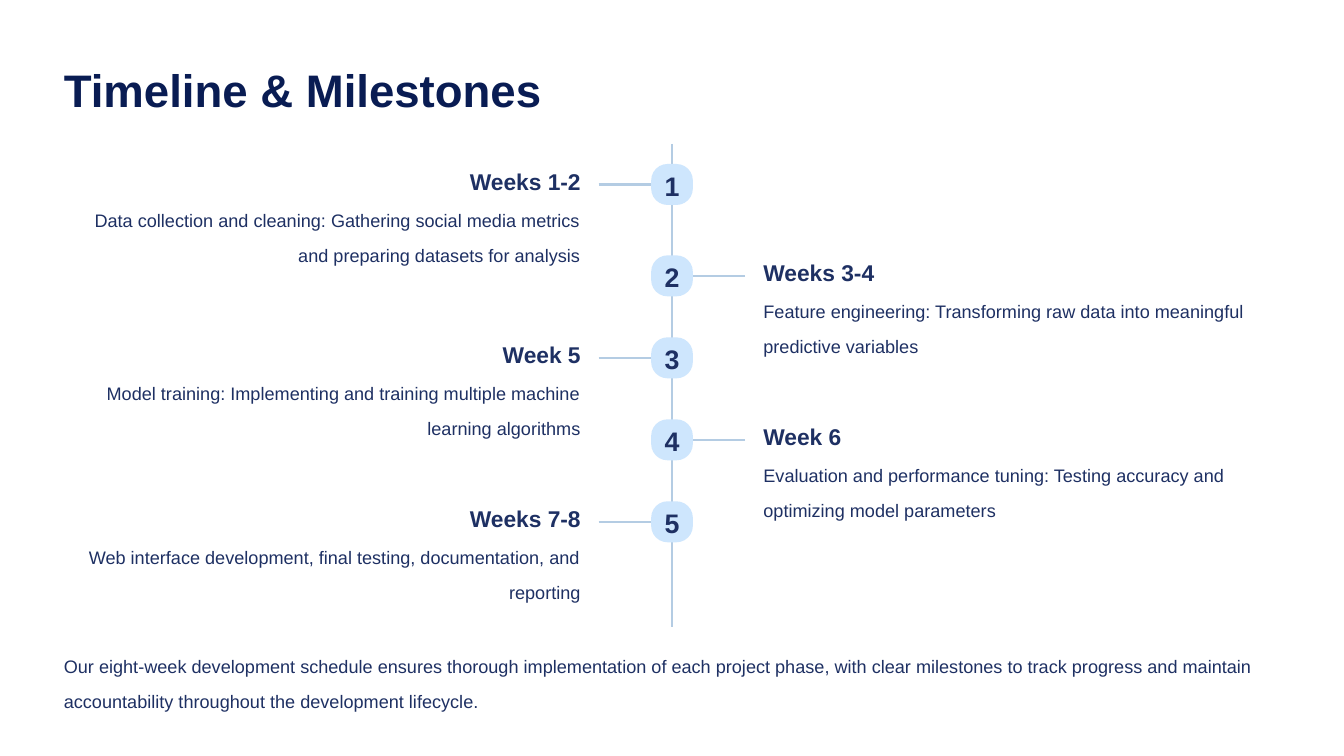
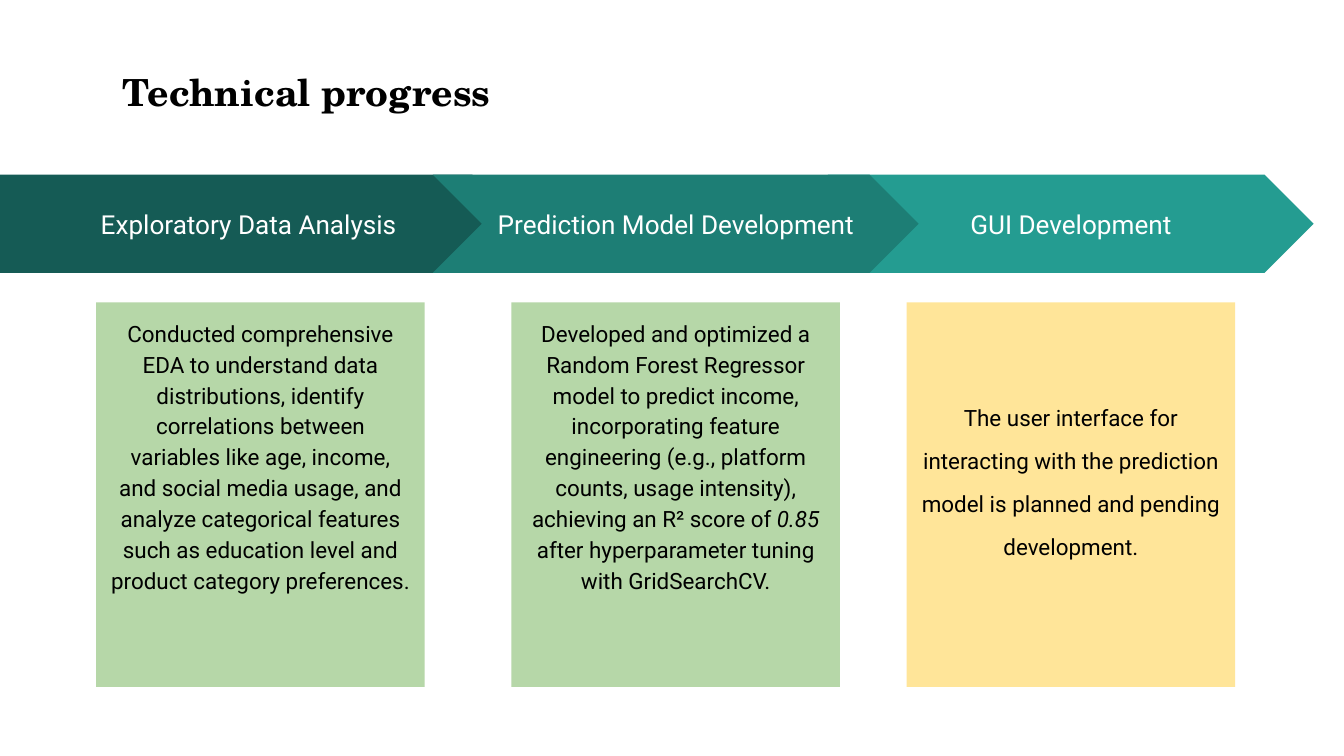
from lxml import etree
from pptx import Presentation
from pptx.dml.color import RGBColor
from pptx.enum.shapes import MSO_CONNECTOR, MSO_SHAPE as SHAPE
from pptx.enum.text import MSO_ANCHOR as ANCHOR, PP_ALIGN as ALIGN
from pptx.oxml.ns import qn
from pptx.util import Inches, Pt

NAVY, INK, RAIL, BADGE = "091C53", "1E3063", "B4CCE3", "CEE6FD"
GREEN, YELLOW, WHITE, BLACK = "B6D7A8", "FFE599", "FFFFFF", "000000"


def write(s, runs, size, color, font="Arial", bold=False, align=ALIGN.LEFT,
          spacing=1.0, anchor=ANCHOR.TOP, inset=0, top=None):
    """Fill a shape with one paragraph; runs is a string or (text, italic) pairs."""
    tf = s.text_frame
    tf.word_wrap = True
    tf.vertical_anchor = anchor
    tf.margin_left = tf.margin_right = tf.margin_bottom = Inches(inset)
    tf.margin_top = Inches(inset if top is None else top)
    p = tf.paragraphs[0]
    p.alignment = align
    p.line_spacing = spacing
    for content, italic in [(runs, False)] if isinstance(runs, str) else runs:
        r = p.add_run()
        r.text = content
        r.font.name, r.font.size = font, Pt(size)
        r.font.bold, r.font.italic = bold, italic
        r.font.color.rgb = RGBColor.from_string(color)


def draw(slide, kind, x, y, w, h, fill=None):
    """Add a text box, a rail line (w, h are its extent) or a filled preset shape."""
    box = [Inches(v) for v in (x, y, w, h)]
    if kind == "text":
        return slide.shapes.add_textbox(*box)
    if kind == "line":
        s = slide.shapes.add_connector(MSO_CONNECTOR.STRAIGHT, box[0], box[1],
                                       box[0] + box[2], box[1] + box[3])
        s.line.color.rgb = RGBColor.from_string(RAIL)
        s.line.width = Pt(2.4)
        etree.SubElement(s._element.spPr, qn("a:effectLst"))
        return s
    s = slide.shapes.add_shape(kind, *box)
    s.shadow.inherit = False
    s.fill.solid()
    s.fill.fore_color.rgb = RGBColor.from_string(fill)
    s.line.fill.background()
    return s


prs = Presentation()
prs.slide_width, prs.slide_height = Inches(20), Inches(11.25)
blank = prs.slide_layouts[6]

# Slide 1: timeline
slide = prs.slides.add_slide(blank)
write(draw(slide, "text", 0.95, 0.72, 7.8, 0.88), "Timeline & Milestones",
      48.8, NAVY, bold=True, spacing=1.24)
draw(slide, "line", 10, 2.14, 0, 7.19)

milestones = [
    (2.44, "Weeks 1-2", "Data collection and cleaning: Gathering social media metrics "
                        "and preparing datasets for analysis"),
    (3.8, "Weeks 3-4", "Feature engineering: Transforming raw data into meaningful "
                       "predictive variables"),
    (5.02, "Week 5", "Model training: Implementing and training multiple machine "
                     "learning algorithms"),
    (6.24, "Week 6", "Evaluation and performance tuning: Testing accuracy and "
                     "optimizing model parameters"),
    (7.46, "Weeks 7-8", "Web interface development, final testing, documentation, "
                        "and reporting"),
]
for number, (y, weeks, task) in enumerate(milestones, 1):
    on_left = number % 2 == 1
    badge = draw(slide, SHAPE.ROUNDED_RECTANGLE, 9.69, y, 0.62, 0.61, BADGE)
    badge.adjustments[0] = 0.4
    write(badge, str(number), 28.7, INK, bold=True, align=ALIGN.CENTER,
          anchor=ANCHOR.MIDDLE, top=0.03)

    branch = draw(slide, "line", 8.91 if on_left else 11.09, y + 0.305, 0.5, 0)
    branch.end_connect(badge, 1 if on_left else 3)

    align = ALIGN.RIGHT if on_left else ALIGN.LEFT
    write(draw(slide, "text", 5.25 if on_left else 11.36, y - 0.04, 3.39, 0.43),
          weeks, 24.4, INK, bold=True, align=align, spacing=1.23)
    write(draw(slide, "text", 0.95 if on_left else 11.36, y + 0.48, 7.69, 0.95),
          task, 19.4, INK, align=align, spacing=1.61)

write(draw(slide, "text", 0.95, 9.56, 18.1, 0.95),
      "Our eight-week development schedule ensures thorough implementation of each "
      "project phase, with clear milestones to track progress and maintain "
      "accountability throughout the development lifecycle.", 19.4, INK, spacing=1.61)

# Slide 2: progress by phase
slide = prs.slides.add_slide(blank)
phases = [
    (SHAPE.CHEVRON, 12.32, 7.23, "249C91", "GUI Development"),
    (SHAPE.PENTAGON, 0, 7.76, "155B55", "Exploratory Data Analysis"),
    (SHAPE.CHEVRON, 6.44, 7.23, "1D7E75", "Prediction Model Development"),
]
for kind, x, w, fill, name in phases:
    write(draw(slide, kind, x, 2.6, w, 1.46, fill), name, 28, WHITE, "Roboto",
          align=ALIGN.CENTER, anchor=ANCHOR.MIDDLE, inset=0.2)

cards = [
    (GREEN, 1.15, 0.2,
     "Conducted comprehensive EDA to understand data distributions, identify "
     "correlations between variables like age, income, and social media usage, and "
     "analyze categorical features such as education level and product category "
     "preferences."),
    (GREEN, 1.15, 0.2,
     [("Developed and optimized a Random Forest Regressor model to predict income, "
       "incorporating feature engineering (e.g., platform counts, usage intensity), "
       "achieving an R² score of ", False),
      ("0.85", True),
      (" after hyperparameter tuning with GridSearchCV.", False)]),
    (YELLOW, 1.6, 1.27,
     "The user interface for interacting with the prediction model is planned and "
     "pending development."),
]
for i, (fill, spacing, top, runs) in enumerate(cards):
    card = draw(slide, SHAPE.RECTANGLE, (1.43, 7.61, 13.49)[i], 4.5, 4.89, 5.72, fill)
    write(card, runs, 24, BLACK, "Roboto", align=ALIGN.CENTER, spacing=spacing,
          inset=0.2, top=top)

write(draw(slide, "text", 1.72, 0.93, 6.57, 0.96), "Technical progress",
      40, BLACK, "TeX Gyre Schola", bold=True, inset=0.1)

prs.save("out.pptx")
